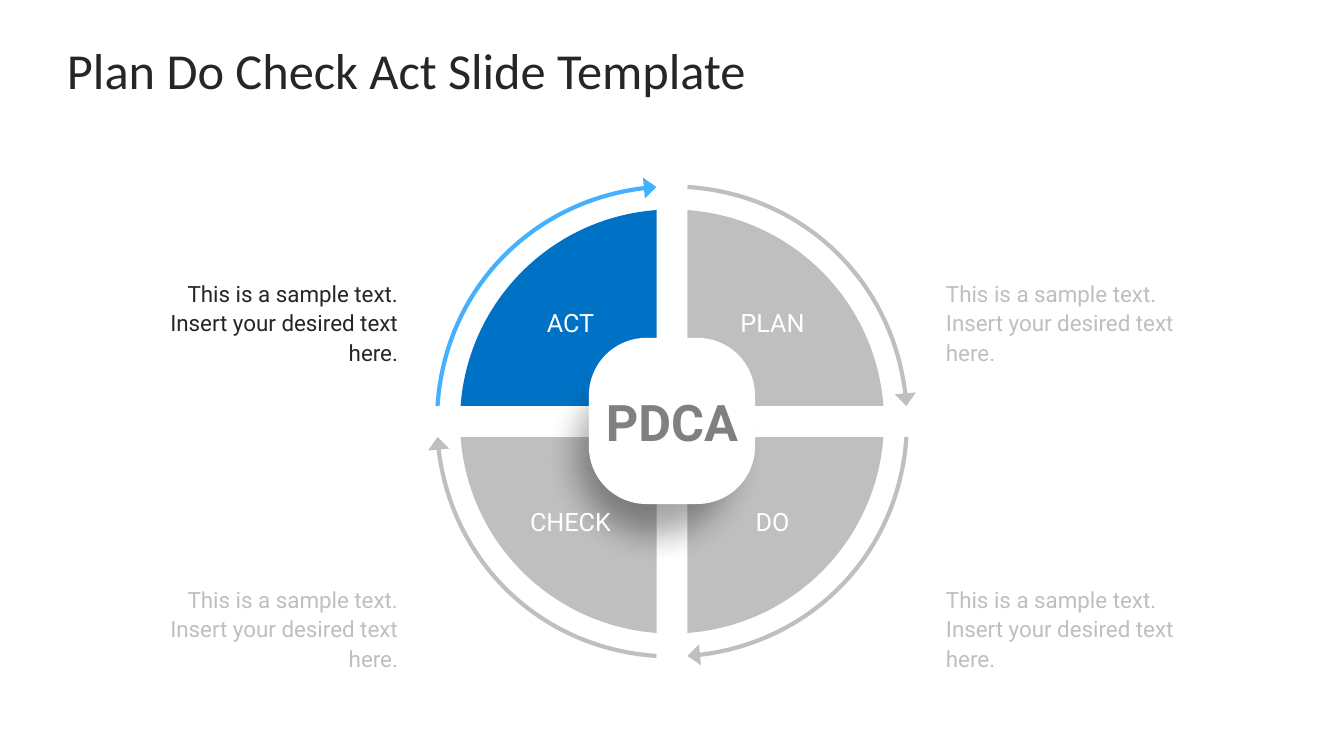
from dataclasses import dataclass
from math import asin, cos, pi, sin, tan

from lxml.etree import SubElement
from pptx import Presentation
from pptx.dml.color import RGBColor
from pptx.enum.shapes import MSO_SHAPE as Shape
from pptx.enum.text import MSO_ANCHOR as Anchor, PP_ALIGN as Align
from pptx.oxml.ns import qn
from pptx.util import Emu, Pt

EMU_PER_PX = 12192000 / 1344
RING_TOP, RING_BOTTOM = 187, 656
CENTER_X, CENTER_Y = 672, (RING_TOP + RING_BOTTOM) / 2
GAP = 31
INNER_RADIUS, OUTER_RADIUS, ARROW_RADIUS = 75, 212, 235
GRAY, DARK, WHITE, BLACK = "BFBFBF", "262626", "FFFFFF", "000000"
SAMPLE = "This is a sample text. Insert your desired text here."

Points = list[tuple[int, int]]


@dataclass
class Stage:
    label: str
    fill: str = GRAY
    arrow: str = GRAY
    note: str = GRAY


# Clockwise from the lower right quadrant
STAGES = [
    Stage("DO"),
    Stage("CHECK"),
    Stage("ACT", "0072C6", "44B0FF", DARK),
    Stage("PLAN"),
]


def px(length: float) -> Emu:
    return Emu(round(length * EMU_PER_PX))


def rgb(color: str) -> RGBColor:
    return RGBColor.from_string(color)


def arc(radius: float, quadrant: int) -> Points:
    """Start, two control points and end of a clockwise arc between the gaps."""
    margin = asin(GAP / 2 / radius)
    start = quadrant * pi / 2 + margin
    end = (quadrant + 1) * pi / 2 - margin
    reach = 4 / 3 * tan((end - start) / 4)
    points = []
    for angle, pull in ((start, 0), (start, reach), (end, -reach), (end, 0)):
        points.append((px(CENTER_X + radius * (cos(angle) - pull * sin(angle))),
                       px(CENTER_Y + radius * (sin(angle) + pull * cos(angle)))))
    return points


def add_outline(shapes, points: Points, close: bool):
    """Draw arcs of four points each, joined by straight lines."""
    builder = shapes.build_freeform(*points[0], scale=1.0)
    builder.add_line_segments(points[1:], close=close)
    shape = builder.convert_to_shape()
    shape.shadow.inherit = False
    lines = list(shape._element.iter(qn("a:lnTo")))
    for first in range(0, len(points), 4):
        curve = SubElement(lines[first].getparent(), qn("a:cubicBezTo"))
        lines[first].addprevious(curve)
        for line in lines[first:first + 3]:
            curve.append(line[0])
            line.getparent().remove(line)
    return shape


def add_wedge(shapes, quadrant: int, color: str) -> None:
    points = arc(OUTER_RADIUS, quadrant) + arc(INNER_RADIUS, quadrant)[::-1]
    wedge = add_outline(shapes, points, close=True)
    wedge.fill.solid()
    wedge.fill.fore_color.rgb = rgb(color)
    wedge.line.fill.background()


def add_arrow(shapes, quadrant: int, color: str) -> None:
    arrow = add_outline(shapes, arc(ARROW_RADIUS, quadrant), close=False)
    arrow.fill.background()
    arrow.line.color.rgb = rgb(color)
    arrow.line.width = Pt(3)
    SubElement(arrow.line._get_or_add_ln(), qn("a:tailEnd"),
               type="triangle", w="lg", len="med")


def set_text(box, text: str, font: str, size: int, color: str, align: Align,
             anchor: Anchor = Anchor.MIDDLE, inset_top: int = 0,
             inset_bottom: int = 0):
    frame = box.text_frame
    frame.word_wrap = True
    frame.vertical_anchor = anchor
    frame.margin_left = frame.margin_right = 0
    frame.margin_top, frame.margin_bottom = px(inset_top), px(inset_bottom)
    frame.text = text
    para = frame.paragraphs[0]
    para.alignment = align
    para.font.name = font
    para.font.size = Pt(size)
    para.font.color.rgb = rgb(color)
    return para


def add_box(shapes, left: int, top: int, width: int, height: int):
    return shapes.add_textbox(px(left), px(top), px(width), px(height))


def add_tile(shapes, left: int, top: int, size: int, color: str):
    tile = shapes.add_shape(Shape.ROUNDED_RECTANGLE, px(left), px(top),
                            px(size), px(size))
    tile.adjustments[0] = 0.343
    tile.shadow.inherit = False
    tile.fill.solid()
    tile.fill.fore_color.rgb = rgb(color)
    return tile


def add_soft_shade(shapes) -> None:
    shade = add_tile(shapes, 543, 344, 225, BLACK)
    shade.line.fill.background()
    properties = shade._element.spPr
    color = properties.find(qn("a:solidFill"))[0]
    SubElement(color, qn("a:alpha"), val="20000")
    effects = properties.find(qn("a:effectLst"))
    SubElement(effects, qn("a:softEdge"), rad=str(Pt(25)))


def is_right(quadrant: int) -> bool:
    return quadrant in (0, 3)


def is_lower(quadrant: int) -> bool:
    return quadrant in (0, 1)


def add_label(shapes, quadrant: int, text: str) -> None:
    box = add_box(shapes, 726 if is_right(quadrant) else 524,
                  501 if is_lower(quadrant) else 302, 93, 45)
    set_text(box, text, "Roboto", 18, WHITE, Align.CENTER, inset_bottom=5)


def add_note(shapes, quadrant: int, color: str) -> None:
    box = add_box(shapes, 946 if is_right(quadrant) else 128,
                  583 if is_lower(quadrant) else 277, 270, 65)
    align = Align.LEFT if is_right(quadrant) else Align.RIGHT
    para = set_text(box, SAMPLE, "Roboto", 16, color, align, Anchor.TOP)
    para.line_spacing = 1.1


def main() -> None:
    deck = Presentation()
    deck.slide_width, deck.slide_height = px(1344), px(756)
    page = deck.slides.add_slide(deck.slide_layouts[5])
    shapes = page.shapes

    # Title
    title = shapes.title
    title.left, title.top = px(67), px(30)
    title.width, title.height = px(1210), px(79)
    set_text(title, "Plan Do Check Act Slide Template", "Calibri", 36, DARK,
             Align.LEFT, inset_top=7, inset_bottom=7)

    # Cycle with its notes
    for quadrant, stage in enumerate(STAGES):
        add_wedge(shapes, quadrant, stage.fill)
        add_arrow(shapes, quadrant, stage.arrow)
        add_note(shapes, quadrant, stage.note)

    # Center tile over a doubled soft shade
    for _ in range(2):
        add_soft_shade(shapes)
    hub = shapes.add_group_shape().shapes
    tile = add_tile(hub, 591, 340, 162, WHITE)
    tile.line.color.rgb = rgb(WHITE)
    tile.line.width = Pt(3)
    caption = add_box(hub, 587, 372, 170, 98)
    para = set_text(caption, "PDCA", "Roboto", 36, "808080", Align.CENTER)
    para.font.bold = True

    # Labels above the shade
    for quadrant, stage in enumerate(STAGES):
        add_label(shapes, quadrant, stage.label)

    deck.save("out.pptx")


if __name__ == "__main__":
    main()
